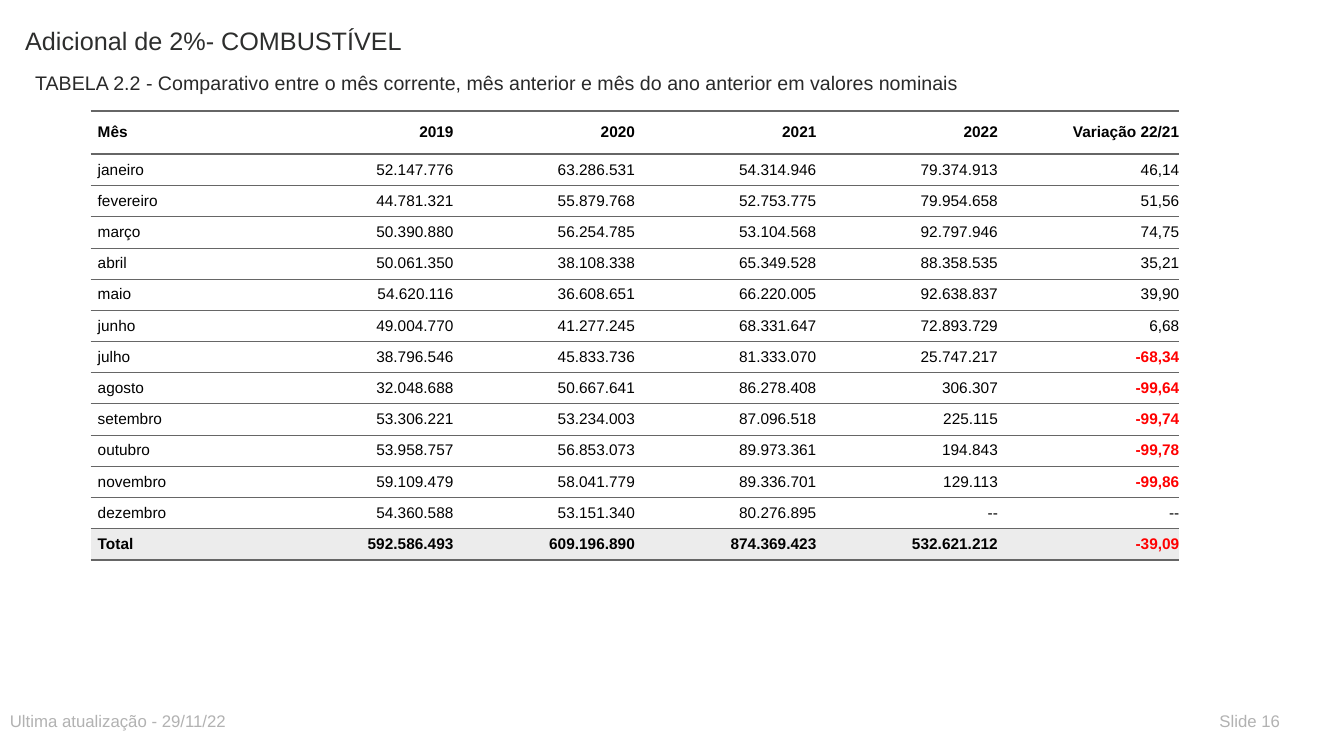
import dataclasses

import lxml.etree
import pptx
import pptx.dml.color
import pptx.enum.text
import pptx.oxml.ns
import pptx.shapes.base
import pptx.slide
import pptx.table
import pptx.text.text
import pptx.util

Pt = pptx.util.Pt
PP_ALIGN = pptx.enum.text.PP_ALIGN
MSO_ANCHOR = pptx.enum.text.MSO_ANCHOR


@dataclasses.dataclass(frozen=True)
class Theme:
    font: str = "Arial"
    title: str = "2D2E2D"
    subtitle: str = "292929"
    footer: str = "B2B2B2"
    text: str = "000000"
    negative: str = "FF0000"
    rule: str = "666666"
    row_fill: str = "FFFFFF"
    total_fill: str = "ECECEC"
    title_size: float = 18
    subtitle_size: float = 14
    footer_size: float = 12
    table_size: float = 11
    thick: float = 2
    thin: float = 0.5
    padding: float = 5


@dataclasses.dataclass(frozen=True)
class Label:
    text: str
    left: float
    top: float
    width: float
    height: float
    size: float
    color: str


@dataclasses.dataclass(frozen=True)
class TableRow:
    values: tuple[str, ...]
    height: float = 22.3
    bold: bool = False
    fill: str = Theme.row_fill
    top: float = 0
    bottom: float = Theme.thin


THEME = Theme()

TITLE = Label("Adicional de 2%- COMBUSTÍVEL", 10.8, 14.4, 576, 42.5,
              THEME.title_size, THEME.title)
LABELS = (
    Label("TABELA 2.2 - Comparativo entre o mês corrente, mês anterior e mês do ano anterior em valores nominais",
          18, 46.8, 720, 21.6, THEME.subtitle_size, THEME.subtitle),
    Label("Ultima atualização - 29/11/22", 0, 504, 468, 21.6, THEME.footer_size, THEME.footer),
    Label("Slide 16", 864, 504, 64.8, 21.6, THEME.footer_size, THEME.footer),
)

HEADER = TableRow(("Mês", "2019", "2020", "2021", "2022", "Variação 22/21"),
                  height=31, bold=True, top=THEME.thick, bottom=THEME.thick)
MONTHS = (
    ("janeiro", "52.147.776", "63.286.531", "54.314.946", "79.374.913", "46,14"),
    ("fevereiro", "44.781.321", "55.879.768", "52.753.775", "79.954.658", "51,56"),
    ("março", "50.390.880", "56.254.785", "53.104.568", "92.797.946", "74,75"),
    ("abril", "50.061.350", "38.108.338", "65.349.528", "88.358.535", "35,21"),
    ("maio", "54.620.116", "36.608.651", "66.220.005", "92.638.837", "39,90"),
    ("junho", "49.004.770", "41.277.245", "68.331.647", "72.893.729", "6,68"),
    ("julho", "38.796.546", "45.833.736", "81.333.070", "25.747.217", "-68,34"),
    ("agosto", "32.048.688", "50.667.641", "86.278.408", "306.307", "-99,64"),
    ("setembro", "53.306.221", "53.234.003", "87.096.518", "225.115", "-99,74"),
    ("outubro", "53.958.757", "56.853.073", "89.973.361", "194.843", "-99,78"),
    ("novembro", "59.109.479", "58.041.779", "89.336.701", "129.113", "-99,86"),
    ("dezembro", "54.360.588", "53.151.340", "80.276.895", "--", "--"),
)
TOTAL = TableRow(("Total", "592.586.493", "609.196.890", "874.369.423", "532.621.212", "-39,09"),
                 bold=True, fill=THEME.total_fill, top=THEME.thin, bottom=THEME.thick)
ROWS = (HEADER, *(TableRow(values) for values in MONTHS), TOTAL)

TABLE_LEFT, TABLE_TOP, COLUMN_WIDTH = 64.8, 79.2, 129.6
PLAIN_TABLE_STYLE = "{2D5ABB26-0587-4C30-8999-92F81FD0307C}"


def rgb(color: str) -> pptx.dml.color.RGBColor:
    return pptx.dml.color.RGBColor.from_string(color)


def set_font(p: pptx.text.text._Paragraph, size: float, color: str, bold: bool = False) -> None:
    p.font.name = THEME.font
    p.font.size = Pt(size)
    p.font.bold = bold
    p.font.color.rgb = rgb(color)


def format_label(sp: pptx.shapes.base.BaseShape, label: Label) -> None:
    sp.left, sp.top = Pt(label.left), Pt(label.top)
    sp.width, sp.height = Pt(label.width), Pt(label.height)
    tf = sp.text_frame
    tf.text = label.text
    tf.word_wrap = True
    tf.auto_size = pptx.enum.text.MSO_AUTO_SIZE.NONE
    tf.vertical_anchor = MSO_ANCHOR.TOP
    p = tf.paragraphs[0]
    p.alignment = PP_ALIGN.LEFT
    set_font(p, label.size, label.color)


def add_border(cell: pptx.table._Cell, tag: str, width: float) -> None:
    qn = pptx.oxml.ns.qn
    ln = lxml.etree.Element(qn(tag), w=str(Pt(width)))
    fill = lxml.etree.SubElement(ln, qn("a:solidFill"))
    lxml.etree.SubElement(fill, qn("a:srgbClr"), val=THEME.rule)
    tc_pr = cell._tc.get_or_add_tcPr()
    tc_pr.insert(len(tc_pr.findall(qn("a:lnT"))), ln)


def fill_cell(cell: pptx.table._Cell, row: TableRow, column: int) -> None:
    value = row.values[column]
    negative = value.startswith("-") and value != "--"
    cell.text = value
    cell.vertical_anchor = MSO_ANCHOR.MIDDLE
    cell.margin_left = cell.margin_right = 0
    cell.margin_top = cell.margin_bottom = Pt(THEME.padding)
    cell.fill.solid()
    cell.fill.fore_color.rgb = rgb(row.fill)
    p = cell.text_frame.paragraphs[0]
    p.alignment = PP_ALIGN.RIGHT if column else PP_ALIGN.LEFT
    p.space_before = p.space_after = Pt(THEME.padding)
    p._p.get_or_add_pPr().set("marL", str(Pt(THEME.padding)))
    set_font(p, THEME.table_size, THEME.negative if negative else THEME.text, row.bold or negative)
    if row.top:
        add_border(cell, "a:lnT", row.top)
    add_border(cell, "a:lnB", row.bottom)


def add_revenue_table(s: pptx.slide.Slide) -> None:
    columns = len(HEADER.values)
    frame = s.shapes.add_table(len(ROWS), columns, Pt(TABLE_LEFT), Pt(TABLE_TOP),
                               Pt(COLUMN_WIDTH * columns), Pt(sum(row.height for row in ROWS)))
    table = frame.table
    table.horz_banding = False
    table._tbl.tblPr.find(pptx.oxml.ns.qn("a:tableStyleId")).text = PLAIN_TABLE_STYLE
    for column in table.columns:
        column.width = Pt(COLUMN_WIDTH)
    for r, row in enumerate(ROWS):
        table.rows[r].height = Pt(row.height)
        for c in range(columns):
            fill_cell(table.cell(r, c), row, c)


def main() -> None:
    prs = pptx.Presentation()
    prs.slide_width, prs.slide_height = Pt(960), Pt(540)
    s = prs.slides.add_slide(prs.slide_layouts.get_by_name("Title Only"))
    format_label(s.shapes.title, TITLE)
    add_revenue_table(s)
    for label in LABELS:
        format_label(s.shapes.add_textbox(0, 0, 0, 0), label)
    prs.save("out.pptx")


if __name__ == "__main__":
    main()
